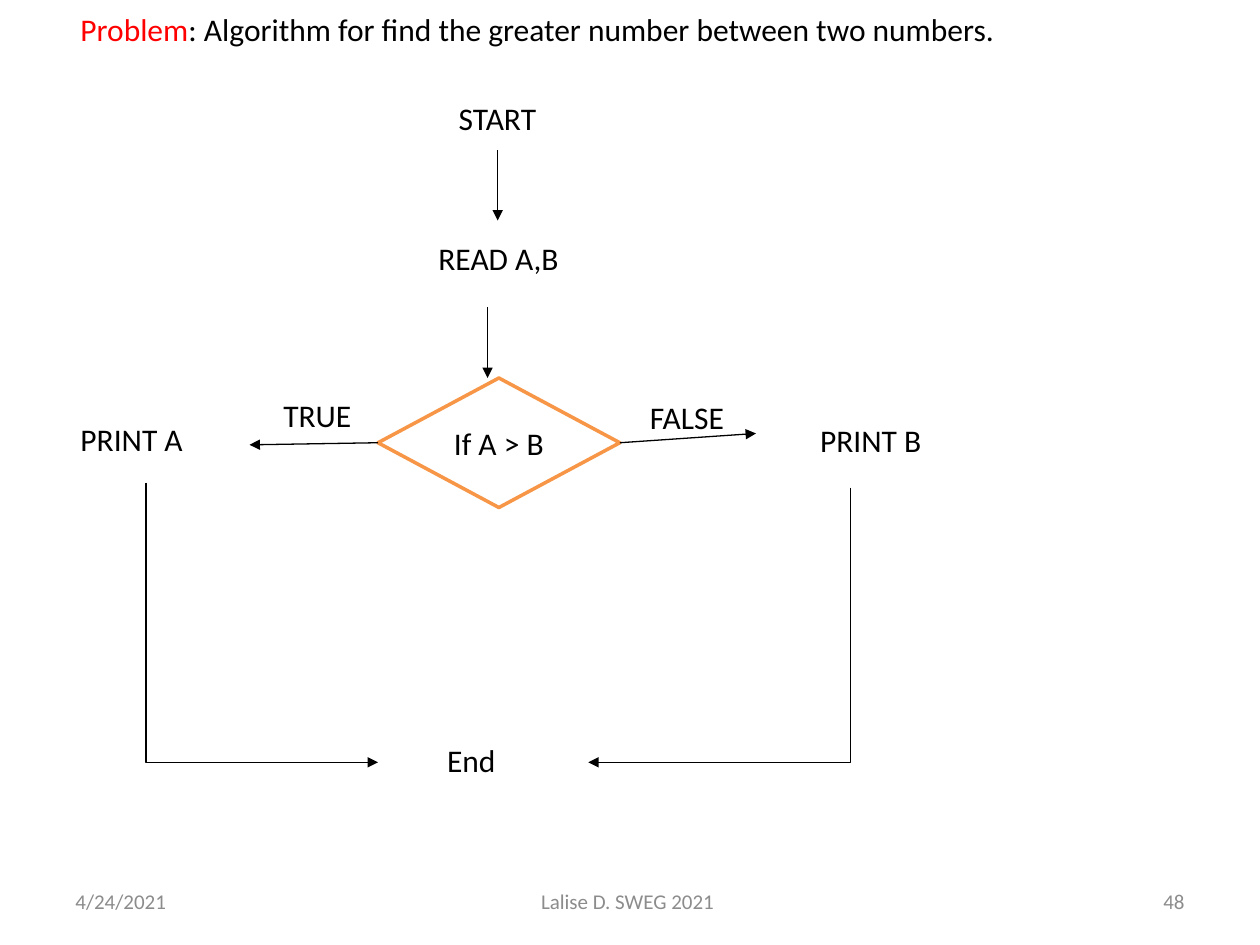
from dataclasses import dataclass

from lxml.etree import SubElement
from pptx import Presentation
from pptx.dml.color import RGBColor as Color
from pptx.enum.shapes import MSO_CONNECTOR as Link, MSO_SHAPE as Kind
from pptx.enum.text import MSO_ANCHOR as Anchor, MSO_AUTO_SIZE as Fit, PP_ALIGN as Align
from pptx.oxml.ns import qn
from pptx.util import Pt


@dataclass(frozen=True)
class Theme:
    font: str = "Calibri"
    body: int = 18
    small: int = 12
    ink: Color = Color(0, 0, 0)
    red: Color = Color(0xFF, 0, 0)
    gray: Color = Color(0x8C, 0x8C, 0x8C)
    white: Color = Color(0xFF, 0xFF, 0xFF)
    orange: Color = Color(0xF7, 0x96, 0x46)
    thin: float = 0.75
    thick: float = 2


@dataclass(frozen=True)
class Label:
    text: str
    left: float
    top: float
    width: float


@dataclass(frozen=True)
class Footer(Label):
    align: Align


@dataclass(frozen=True)
class Arrow:
    start: tuple[float, float]
    end: tuple[float, float]
    site: int | None = None  # side of the decision it leaves from


THEME = Theme()
ROW = 29
TITLE = (("Problem", THEME.red),
         (": Algorithm for find the greater number between two numbers.", THEME.ink))
LABELS = (
    Label("START", 255, 53.3, 59),
    Label("READ A,B", 243.4, 133.2, 84),
    Label("PRINT A", 38.9, 236.2, 73.5),
    Label("PRINT B", 461.5, 236.9, 72.7),
    Label("TRUE", 154.8, 222.5, 54),
    Label("FALSE", 364.3, 223.9, 57),
    Label("End", 248.4, 419.8, 42.5),
)
FOOTERS = (
    Footer("4/24/2021", 36, 500.5, 168, Align.LEFT),
    Footer("Lalise D. SWEG 2021 ", 246, 500.5, 228, Align.CENTER),
    Footer("48", 516, 500.5, 168, Align.RIGHT),
)
ARROWS = (
    Arrow((284.4, 85.7), (284.4, 126)),
    Arrow((278.6, 175.7), (278.6, 216)),
    Arrow((216, 253), (142.6, 254.2), 1),
    Arrow((354.2, 253), (432, 247.7), 3),
)
BENDS = (
    Arrow((83.5, 275.8), (216, 435.6)),
    Arrow((486, 278.6), (336.2, 435.6)),
)


def style(para, size: int, color: Color | None = None, align: Align = Align.LEFT) -> None:
    para.alignment = align
    para.font.name = THEME.font
    para.font.size = Pt(size)
    if color is not None:
        para.font.color.rgb = color


def add_box(slide, left: float, top: float, width: float):
    box = slide.shapes.add_textbox(Pt(left), Pt(top), Pt(width), Pt(ROW))
    return box.text_frame


def add_title(slide) -> None:
    frame = add_box(slide, 38.9, 2.2, 627)
    frame.word_wrap = True
    frame.auto_size = Fit.SHAPE_TO_FIT_TEXT
    para = frame.paragraphs[0]
    for text, color in TITLE:
        run = para.add_run()
        run.text = text
        run.font.color.rgb = color
    style(para, THEME.body)


def add_label(slide, item: Label) -> None:
    frame = add_box(slide, item.left, item.top, item.width)
    frame.word_wrap = False
    frame.auto_size = Fit.SHAPE_TO_FIT_TEXT
    frame.text = item.text
    style(frame.paragraphs[0], THEME.body, THEME.ink)


def add_footer(slide, item: Footer) -> None:
    frame = add_box(slide, item.left, item.top, item.width)
    frame.word_wrap = True
    frame.vertical_anchor = Anchor.MIDDLE
    frame.text = item.text
    style(frame.paragraphs[0], THEME.small, THEME.gray, item.align)


def add_test(slide):
    """Draw the decision diamond."""
    shape = slide.shapes.add_shape(Kind.FLOWCHART_DECISION, Pt(216), Pt(216), Pt(138.2), Pt(74))
    shape.shadow.inherit = False
    shape.fill.solid()
    shape.fill.fore_color.rgb = THEME.white
    shape.line.color.rgb = THEME.orange
    shape.line.width = Pt(THEME.thick)
    frame = shape.text_frame
    frame.vertical_anchor = Anchor.MIDDLE
    frame.text = "If A > B"
    style(frame.paragraphs[0], THEME.body, THEME.ink, Align.CENTER)
    return shape


def add_arrow(slide, item: Arrow, kind: Link = Link.STRAIGHT):
    ends = (Pt(v) for v in item.start + item.end)
    line = slide.shapes.add_connector(kind, *ends)
    line.line.color.rgb = THEME.ink
    line.line.width = Pt(THEME.thin)
    props = line._element.spPr
    SubElement(props.find(qn("a:ln")), qn("a:tailEnd"), type="triangle")
    SubElement(props, qn("a:effectLst"))
    return line


def add_bend(slide, item: Arrow) -> None:
    """Draw an arrow that runs down, then sideways: a turned one-corner connector."""
    line = add_arrow(slide, item, Link.ELBOW)
    (x1, y1), (x2, y2) = item.start, item.end
    wide, high = y2 - y1, abs(x2 - x1)
    line.left, line.top = Pt((x1 + x2 - wide) / 2), Pt((y1 + y2 - high) / 2)
    line.width, line.height = Pt(wide), Pt(high)
    props = line._element.spPr
    props.find(qn("a:prstGeom")).set("prst", "bentConnector2")
    right = x2 > x1
    frame = props.find(qn("a:xfrm"))
    frame.set("rot", str((270 if right else 90) * 60000))
    frame.set("flipH", "1" if right else "0")


def main() -> None:
    deck = Presentation()
    deck.slide_width, deck.slide_height = Pt(720), Pt(540)
    slide = deck.slides.add_slide(deck.slide_layouts[6])
    for item in FOOTERS:
        add_footer(slide, item)
    test = add_test(slide)
    for item in ARROWS:
        line = add_arrow(slide, item)
        if item.site is not None:
            line.begin_connect(test, item.site)
    for item in BENDS:
        add_bend(slide, item)
    for item in LABELS:
        add_label(slide, item)
    add_title(slide)
    deck.save("out.pptx")


if __name__ == "__main__":
    main()
